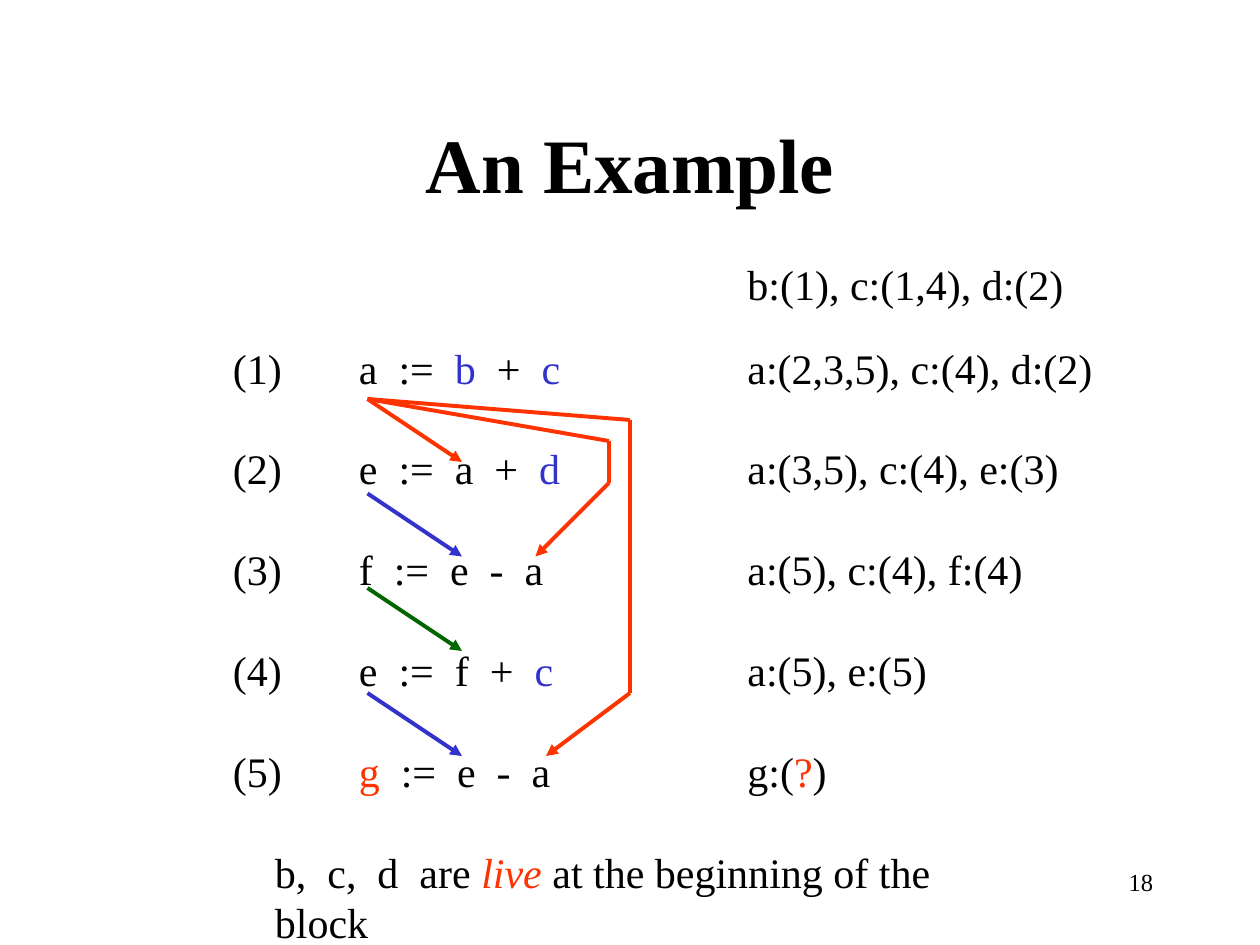
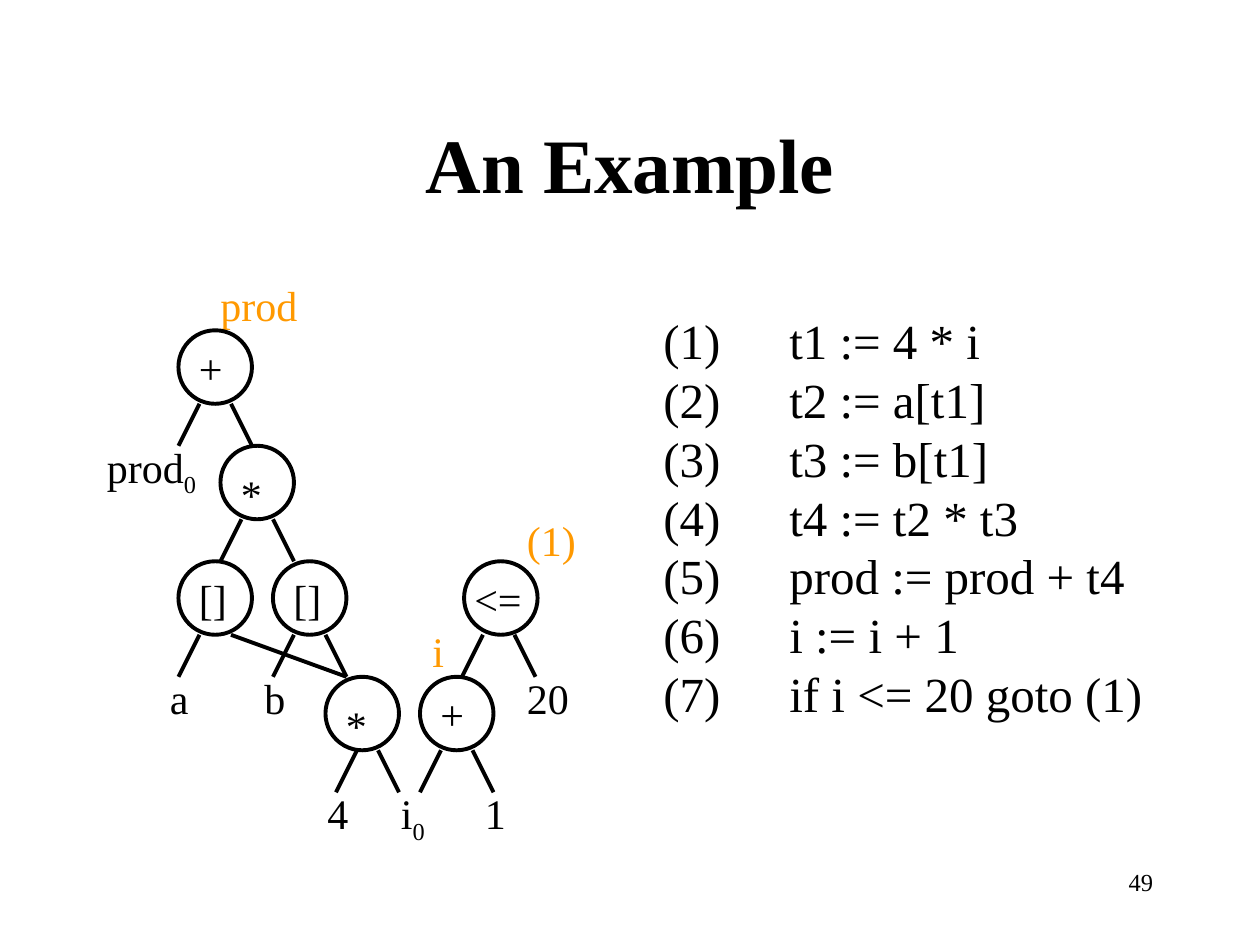
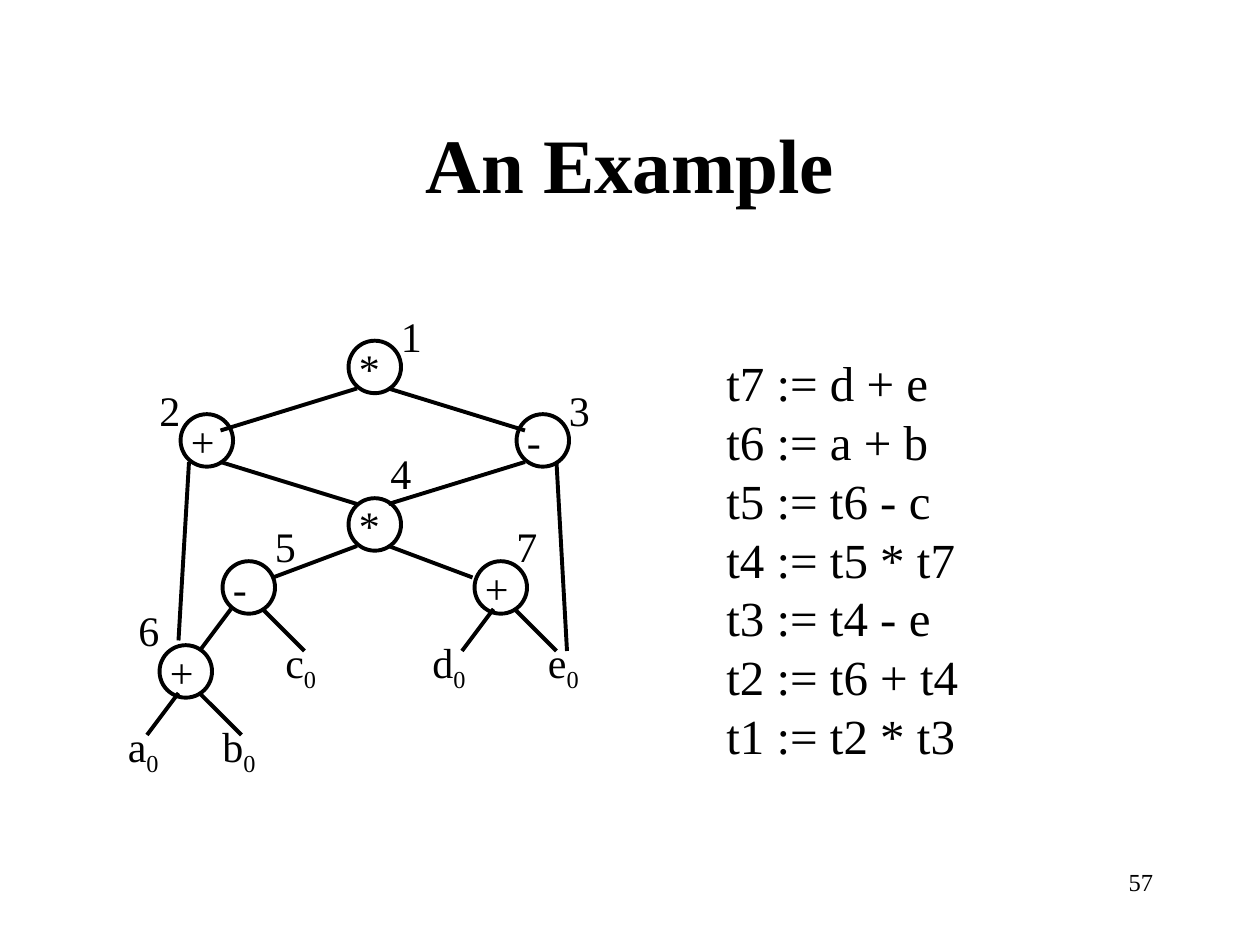
from itertools import pairwise

from lxml import etree
from pptx import Presentation
from pptx.dml.color import RGBColor
from pptx.enum import shapes, text
from pptx.oxml import ns
from pptx.util import Pt

rgb = RGBColor.from_string
BLACK, BLUE, RED, GREEN, ORANGE = "000000", "3333CC", "FF3300", "006600", "FF9900"
WIDTHS = {"+": 28, "-": 22.4, "[]": 30.4, "<=": 41.5, "20": 38.4, "prod": 58.4,
          "(1)": 42.4, "i": 21, "i_0": 29, "prod_0": 66.4, "a": 25}


def add_text(s, x, y, w, h, paras, size=24, color=BLACK, wrap=False, tabs=()):
    tf = s.shapes.add_textbox(Pt(x), Pt(y), Pt(w), Pt(h)).text_frame
    tf.word_wrap = wrap
    for i, runs in enumerate(paras):
        p = tf.add_paragraph() if i else tf.paragraphs[0]
        p.font.name, p.font.size = "Times New Roman", Pt(size)
        p.font.color.rgb = rgb(color)
        if tabs:
            stops = etree.Element(ns.qn("a:tabLst"))
            for pos in tabs:
                etree.SubElement(stops, ns.qn("a:tab"), pos=str(Pt(pos)), algn="l")
            p._p.pPr.find(ns.qn("a:defRPr")).addprevious(stops)
        for run in [runs] if isinstance(runs, str) else runs:
            words, tint = (run, None) if isinstance(run, str) else run
            base, _, sub = words.partition("_")
            r = p.add_run()
            r.text = base
            if tint:
                r.font.color.rgb = rgb(tint)
            if sub:
                r = p.add_run()
                r.text = sub
                r._r.get_or_add_rPr().set("baseline", "-25000")
    return tf


def add_line(s, x1, y1, x2, y2, color=BLACK, arrow=False):
    c = s.shapes.add_connector(shapes.MSO_CONNECTOR.STRAIGHT, Pt(x1), Pt(y1), Pt(x2), Pt(y2))
    c.line.width = Pt(2.25)
    c.line.color.rgb = rgb(color)
    if arrow:
        etree.SubElement(c.line._get_or_add_ln(), ns.qn("a:tailEnd"), type="triangle")
    etree.SubElement(c._element.spPr, ns.qn("a:effectLst"))


prs = Presentation()
prs.slide_width, prs.slide_height = Pt(720), Pt(540)
slides = []
for number in ("18", "49", "57"):
    s = prs.slides.add_slide(prs.slide_layouts[6])
    tf = add_text(s, 516, 492, 150, 36, [number], 14, wrap=True)
    tf.paragraphs[0].alignment = text.PP_ALIGN.RIGHT
    tf = add_text(s, 54, 48, 612, 90, ["An Example"], 44, wrap=True)
    tf.vertical_anchor = text.MSO_ANCHOR.MIDDLE
    tf.paragraphs[0].alignment = text.PP_ALIGN.CENTER
    tf.paragraphs[0].font.bold = True
    slides.append(s)
next_use, dag, order = slides

statements = [
    ["(1)\ta  :=  ", ("b", BLUE), "  +  ", ("c", BLUE), "\ta:(2,3,5), c:(4), d:(2)"],
    ["(2)\te  :=  a  +  ", ("d", BLUE), "\ta:(3,5), c:(4), e:(3)"],
    "(3)\tf  :=  e  -  a\ta:(5), c:(4), f:(4)",
    ["(4)\te  :=  f  +  ", ("c", BLUE), "\ta:(5), e:(5)"],
    ["(5)\t", ("g", RED), "  :=  e  -  a\tg:(", ("?", RED), ")"],
]
tf = add_text(next_use, 126, 192, 505.5, 265.7, statements, tabs=(72, 294))
for p in tf.paragraphs:
    p.space_after = Pt(28.75)

flows = [
    (BLUE, (210, 396), (264, 432)),
    (GREEN, (210, 336), (264, 372)),
    (BLUE, (210, 282), (264, 318)),
    (RED, (210, 228), (264, 264)),
    (RED, (210, 228), (348, 252), (348, 276), (306, 318)),
    (RED, (210, 228), (360, 240), (360, 396), (312, 432)),
]
for color, *points in flows:
    for start, end in pairwise(points):
        add_line(next_use, *start, *end, color, end == points[-1])

live = ["b,  c,  d  are ", ("live", RED), " at the beginning of the block"]
tf = add_text(next_use, 150, 480, 447.8, 36, [live], wrap=True)
tf.paragraphs[0].runs[1].font.italic = True
add_text(next_use, 420, 144, 195, 36, ["b:(1), c:(1,4), d:(2)"])

block = ["t1 := 4 * i", "t2 := a[t1]", "t3 := b[t1]", "t4 := t2 * t3",
         "prod := prod + t4", "i := i + 1", "if i <= 20 goto (1)"]
lines = [f"({n})\t{line}" for n, line in enumerate(block, 1)]
add_text(dag, 372, 174, 289, 242.6, lines, 28, tabs=(72,))

TOP, PITCH = 188.75, 66
dag_nodes = [("+", 102, 0), ("*", 126, 1), ("[]", 102, 2), ("[]", 156, 2),
             ("<=", 265.2, 2), ("*", 186, 3), ("+", 240, 3)]
dag_edges = [
    [(114, 102), (132, 144)],
    [(138, 126), (156, 168)],
    [(114, 102), (132, 198), (168, 156), (186, 198), (276, 264), (294, 306)],
    [(204, 192), (216, 228), (252, 240), (270, 282)],
]
dag_leaves = [("prod_0", 54, 0), ("a", 90, 2), ("b", 144, 2), ("20", 294, 2),
              ("4", 180, 3), ("i_0", 222, 3), ("1", 270, 3)]
offsets = {"*": (4.6, 9.25), "<=": (-1.2, 3.25)}
circles = []
for op, x, row in dag_nodes:
    y = TOP + PITCH * row
    dx, dy = offsets.get(op, (4.6, 3.25))
    add_text(dag, x + dx, y + dy, WIDTHS.get(op, 26.4), 36, [op])
    circles.append((dag, x, y, 42))
for row, edges in enumerate(dag_edges):
    y = TOP + PITCH * row + 42
    for x1, x2 in edges:
        add_line(dag, x1, y, x2, y + 24)
for leaf, x, row in dag_leaves:
    add_text(dag, x, TOP + 60 + PITCH * row, WIDTHS.get(leaf, 26.4), 36, [leaf])
for name, x, y in [("prod", 118.8, 156), ("(1)", 294, 290.6), ("i", 240, 354)]:
    add_text(dag, x, y, WIDTHS[name], 36, [name], color=ORANGE)

order_nodes = [
    ("*", 198, 192, "1", 222, 174), ("+", 102, 234, "2", 84, 216),
    ("-", 294, 234, "3", 318, 216), ("*", 198, 282, "4", 216, 252),
    ("-", 126, 318, "5", 150, 294), ("+", 90, 366, "6", 72, 342),
    ("+", 270, 318, "7", 288, 294),
]
order_edges = [
    (204, 222, 126, 246), (222, 222, 300, 246), (126, 264, 204, 288),
    (300, 264, 222, 288), (108, 264, 102, 366), (318, 264, 324, 372),
    (204, 312, 156, 330), (222, 312, 270, 330), (132, 348, 114, 372),
    (150, 348, 174, 372), (282, 348, 264, 372), (294, 348, 318, 372),
    (102, 396, 84, 420), (114, 396, 138, 420),
]
order_leaves = [("a_0", 66, 408, 33), ("b_0", 120, 408, 42), ("c_0", 156, 360, 33),
                ("d_0", 240, 360, 42), ("e_0", 306, 360, 42)]
for op, x, y, rank, rank_x, rank_y in order_nodes:
    add_text(order, x, y, WIDTHS.get(op, 26.4), 36, [op])
    add_text(order, rank_x, rank_y, 26.4, 36, [rank])
    circles.append((order, x + 1.2, y + 2.7, 30))
for edge in order_edges:
    add_line(order, *edge)
for leaf, x, y, w in order_leaves:
    add_text(order, x, y, w, 36, [leaf], wrap=True)

for s, x, y, size in circles:
    sp = s.shapes.add_shape(shapes.MSO_SHAPE.OVAL, Pt(x), Pt(y), Pt(size), Pt(size))
    sp.shadow.inherit = False
    sp.fill.background()
    sp.line.color.rgb = rgb(BLACK)
    sp.line.width = Pt(2.25)

code = ["t7 := d + e", "t6 := a + b", "t5 := t6 - c", "t4 := t5 * t7",
        "t3 := t4 - e", "t2 := t6 + t4", "t1 := t2 * t3"]
add_text(order, 408, 198, 147, 242.6, code, 28)

prs.save("out.pptx")
